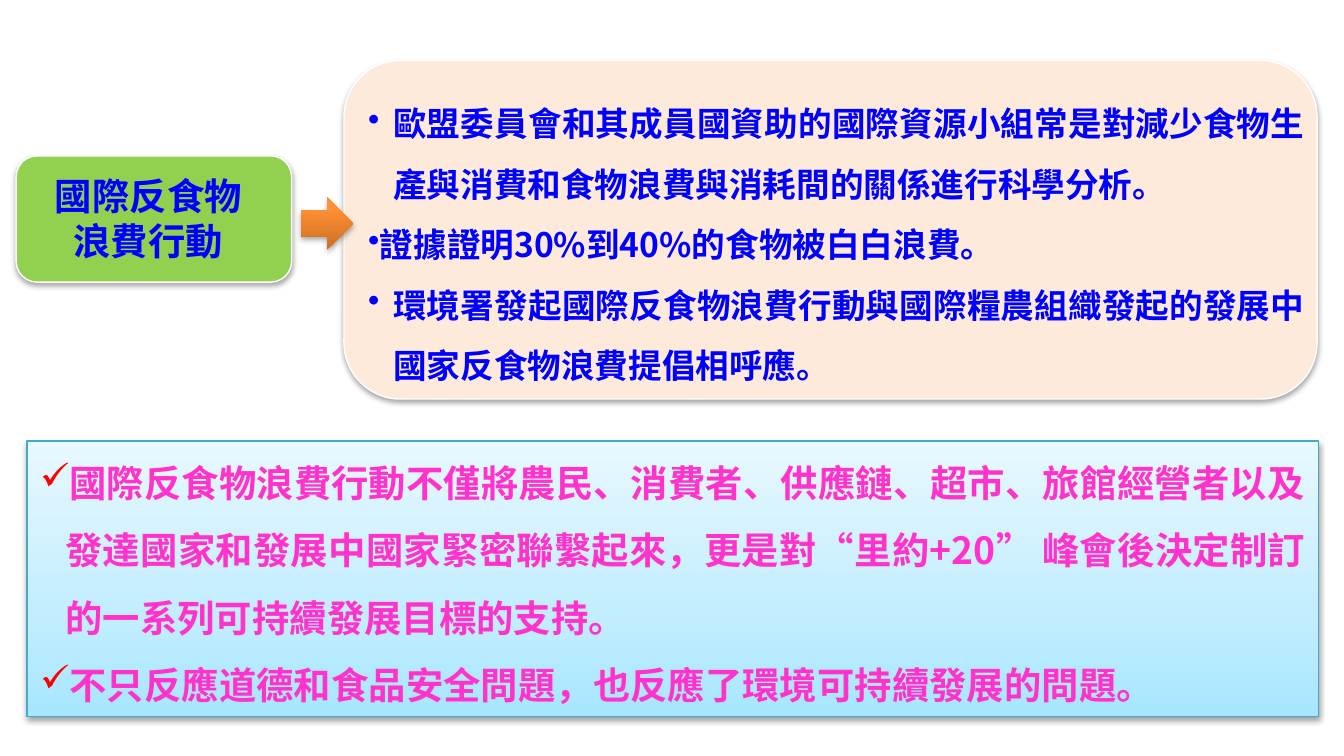
from dataclasses import dataclass

from lxml.etree import SubElement
from pptx import Presentation
from pptx.dml.color import RGBColor
from pptx.enum.shapes import MSO_SHAPE as Preset
from pptx.enum.text import MSO_AUTO_SIZE as AutoSize, PP_ALIGN as Align
from pptx.oxml.ns import qn
from pptx.slide import Slide
from pptx.util import Pt

FONT = "Noto Sans CJK SC"
BLUE, PINK, RED = "0000FF", "FF33CC", "FF0000"
HANGING = 13.5


@dataclass
class Panel:
    preset: Preset
    frame: tuple[float, float, float, float]
    stops: list[tuple[int, str]]
    line: str | None
    shadow_alpha: int = 35
    shadow_distance: float = 1.8


@dataclass
class Item:
    text: str
    indent: float = 0


@dataclass
class TextBlock:
    frame: tuple[float, float, float, float]
    items: list[Item]
    size: float
    color: str
    paragraph_format: dict
    bullet: str | None = None
    bullet_color: str | None = None


def rgb(value: str) -> RGBColor:
    return RGBColor.from_string(value)


def add_color(parent, value: str):
    return SubElement(parent, qn("a:srgbClr"), val=str(rgb(value)))


def fill_gradient(shape, stops: list[tuple[int, str]]) -> None:
    """Fill from bottom to top through all the stops."""
    shape.fill.gradient()
    gradient = shape._element.spPr.find(qn("a:gradFill"))
    stop_list = gradient.find(qn("a:gsLst"))
    for old_stop in list(stop_list):
        stop_list.remove(old_stop)
    for position, color in stops:
        add_color(SubElement(stop_list, qn("a:gs"), pos=str(position * 1000)), color)
    gradient.find(qn("a:lin")).set("ang", str(270 * 60000))


def add_panel(slide: Slide, panel: Panel) -> None:
    shape = slide.shapes.add_shape(panel.preset, *map(Pt, panel.frame))
    if len(panel.stops) > 1:
        fill_gradient(shape, panel.stops)
    else:
        shape.fill.solid()
        shape.fill.fore_color.rgb = rgb(panel.stops[0][1])
    if panel.line:
        shape.line.color.rgb = rgb(panel.line)
        shape.line.width = Pt(0.75)
    else:
        shape.line.fill.background()
    # Soft shadow straight below
    shape.shadow.inherit = False
    effects = shape._element.spPr.find(qn("a:effectLst"))
    shadow = SubElement(effects, qn("a:outerShdw"), blurRad=str(Pt(3.1)),
                        dist=str(Pt(panel.shadow_distance)),
                        dir=str(90 * 60000), rotWithShape="0")
    SubElement(add_color(shadow, "000000"), qn("a:alpha"),
               val=str(panel.shadow_alpha * 1000))


def add_bullet(paragraph, block: TextBlock, indent: float) -> None:
    properties = paragraph._p.get_or_add_pPr()
    properties.set("marL", str(Pt(indent)))
    properties.set("indent", str(-Pt(indent)))
    if block.bullet_color:
        add_color(SubElement(properties, qn("a:buClr")), block.bullet_color)
    SubElement(properties, qn("a:buChar"), char=block.bullet)


def add_text(slide: Slide, block: TextBlock) -> None:
    text_frame = slide.shapes.add_textbox(*map(Pt, block.frame)).text_frame
    text_frame.word_wrap = True
    text_frame.auto_size = AutoSize.SHAPE_TO_FIT_TEXT
    font_format = {"name": FONT, "size": Pt(block.size), "bold": True}
    for index, item in enumerate(block.items):
        paragraph = text_frame.add_paragraph() if index else text_frame.paragraphs[0]
        if block.bullet:
            add_bullet(paragraph, block, item.indent)
        for name, value in block.paragraph_format.items():
            setattr(paragraph, name, value)
        run = paragraph.add_run()
        run.text = item.text
        for name, value in font_format.items():
            setattr(run.font, name, value)
        run.font.color.rgb = rgb(block.color)
        SubElement(run._r.get_or_add_rPr(), qn("a:ea"), typeface=FONT)


CENTERED = {"alignment": Align.CENTER}
JUSTIFIED = {"alignment": Align.JUSTIFY, "line_spacing": 1.5}

# Topic, its details, the arrow between them, and the conclusion
TOPIC = Panel(Preset.ROUNDED_RECTANGLE, (8.64, 83.5, 147.6, 67.7),
              [(0, "92D050")], "FFFFFF")
DETAILS = Panel(Preset.ROUNDED_RECTANGLE, (184.3, 32.4, 521.3, 181.4),
                [(0, "FDEADA")], "FFFFFF")
ARROW = Panel(Preset.RIGHT_ARROW, (161.3, 105.8, 28, 28),
              [(0, "CC6E20"), (80, "FF9034"), (100, "FF9136")], None)
CONCLUSION = Panel(Preset.RECTANGLE, (14.4, 236.2, 691.9, 147.6),
                   [(0, "A7E6FF"), (35, "C1EDFF"), (100, "E7F8FF")], "46AAC5",
                   shadow_alpha=38, shadow_distance=1.6)

TOPIC_TEXT = TextBlock((8.64, 89.3, 141.8, 55.4),
                       [Item("國際反食物"), Item("浪費行動")], 20, BLUE, CENTERED)
DETAILS_TEXT = TextBlock((190.1, 41, 516.2, 170.6), [
    Item("歐盟委員會和其成員國資助的國際資源小組常是對減少食物生產與消費和食物浪費與消耗間的關係進行科學分析。", HANGING),
    Item("證據證明30%到40%的食物被白白浪費。"),
    Item("環境署發起國際反食物浪費行動與國際糧農組織發起的發展中國家反食物浪費提倡相呼應。", HANGING),
], 18, BLUE, JUSTIFIED, "•")
CONCLUSION_TEXT = TextBlock((14.4, 231.1, 691.9, 152.6), [
    Item("國際反食物浪費行動不僅將農民、消費者、供應鏈、超市、旅館經營者以及發達國家和發展中國家緊密聯繫起來，"
         "更是對“里約+20” 峰會後決定制訂的一系列可持續發展目標的支持。", HANGING),
    Item("不只反應道德和食品安全問題，也反應了環境可持續發展的問題。"),
], 20, PINK, JUSTIFIED, "✓", RED)


def main() -> None:
    presentation = Presentation()
    presentation.slide_width, presentation.slide_height = Pt(720), Pt(405)
    slide = presentation.slides.add_slide(presentation.slide_layouts[6])
    # Back to front
    for part in (TOPIC, TOPIC_TEXT, DETAILS, DETAILS_TEXT,
                 ARROW, CONCLUSION, CONCLUSION_TEXT):
        draw = add_panel if isinstance(part, Panel) else add_text
        draw(slide, part)
    presentation.save("out.pptx")


if __name__ == "__main__":
    main()
